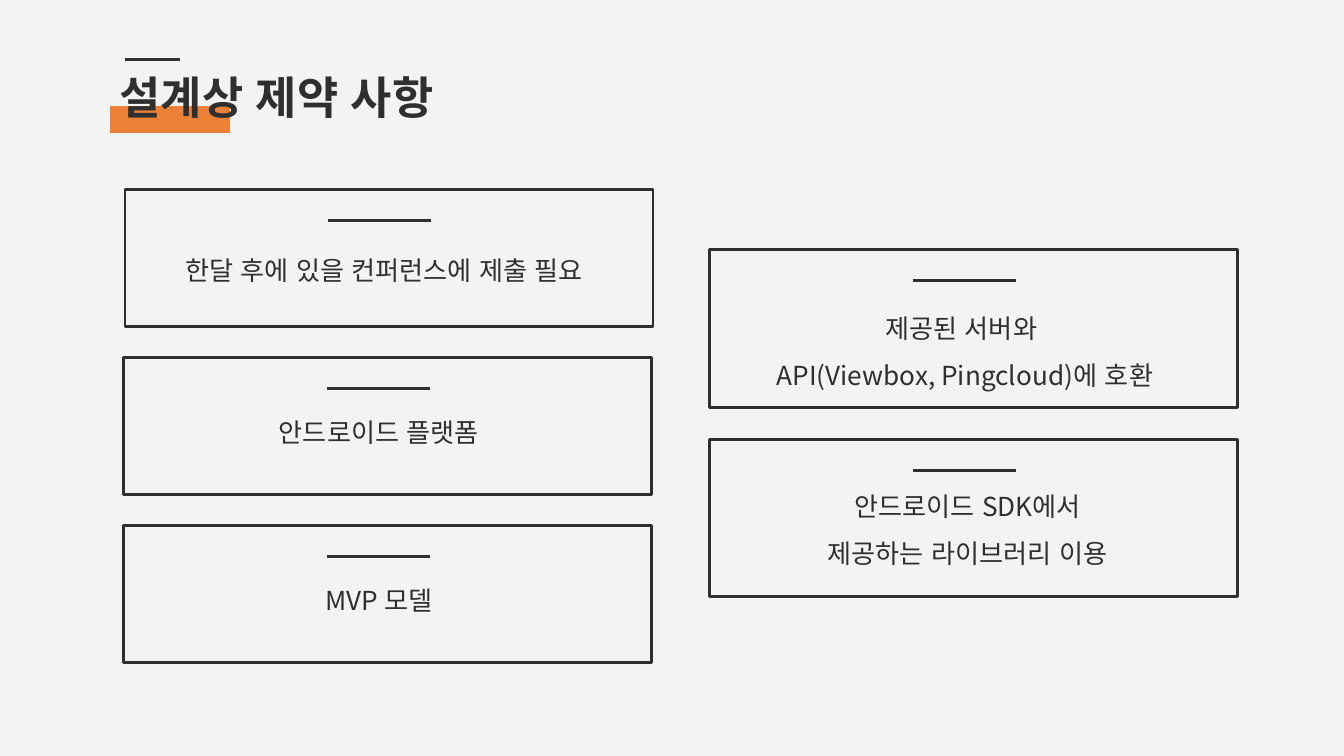
from dataclasses import dataclass

from lxml import etree
from pptx import Presentation
from pptx import util as u
from pptx.dml.color import RGBColor
from pptx.enum import lang, shapes, text
from pptx.oxml.ns import qn

FONT = "Noto Sans CJK KR"
INK, ORANGE, PAPER = "2F2F2F", "EC8037", "F3F3F3"
CARD_WIDTH = 3.93
TEXT_WIDTH, TEXT_HEIGHT = 3.48, 0.63
RULE_INSET, RULE_DROP, RULE_WIDTH = 1.51, 0.23, 0.77


@dataclass
class Card:
    left: float
    top: float
    height: float
    text_left: float
    text_top: float
    lines: list[str]
    spacing: float = 1.0


LEAD_CARD = Card(0.93, 1.41, 1.02, 1.12, 1.79,
                 ["한달 후에 있을 컨퍼런스에 제출 필요"])
CARDS = [
    Card(0.92, 2.66, 1.02, 1.08, 3.0, ["안드로이드 플랫폼"]),
    Card(0.92, 3.91, 1.02, 1.08, 4.25, ["MVP 모델"]),
    Card(5.28, 1.86, 1.17, 5.44, 2.11,
         ["제공된 서버와 ", "API(Viewbox, Pingcloud)에 호환"], 1.5),
    Card(5.28, 3.27, 1.17, 5.46, 3.43,
         ["안드로이드 SDK에서", "제공하는 라이브러리 이용"], 1.5),
]


def color(value: str) -> RGBColor:
    return RGBColor.from_string(value)


def place(box, left: float, top: float, width: float, height: float) -> None:
    spots = {"left": left, "top": top, "width": width, "height": height}
    for name, value in spots.items():
        setattr(box, name, u.Inches(value))


def add_rectangle(slide, left: float, top: float, width: float, height: float,
                  fill: str | None = None):
    """Draw a filled block, or an outlined frame when no fill is given."""
    box = slide.shapes.add_shape(
        shapes.MSO_SHAPE.RECTANGLE, u.Inches(left), u.Inches(top),
        u.Inches(width), u.Inches(height))
    box.shadow.inherit = False
    if fill:
        box.fill.solid()
        box.fill.fore_color.rgb = color(fill)
        box.line.fill.background()
    else:
        box.fill.background()
        box.line.color.rgb = color(INK)
        box.line.width = u.Pt(1.5)
    return box


def add_rule(slide, left: float, top: float, width: float) -> None:
    rule = slide.shapes.add_connector(
        shapes.MSO_CONNECTOR.STRAIGHT, u.Inches(left), u.Inches(top),
        u.Inches(left + width), u.Inches(top))
    rule.line.color.rgb = color(INK)
    rule.line.width = u.Pt(1.5)
    etree.SubElement(rule._element.spPr, qn("a:effectLst"))


def write(box, lines: list[str], size: float, align: text.PP_ALIGN,
          bold: bool = False, spacing: float = 1.0) -> None:
    frame = box.text_frame
    frame_format = {
        "word_wrap": True, "auto_size": text.MSO_AUTO_SIZE.NONE,
        "vertical_anchor": text.MSO_ANCHOR.TOP,
        **{f"margin_{side}": u.Inches(0.1)
           for side in ("left", "right", "top", "bottom")}}
    para_format = {"alignment": align, "line_spacing": spacing,
                   "space_before": u.Pt(0)}
    font_format = {"name": FONT, "size": u.Pt(size), "bold": bold,
                   "language_id": lang.MSO_LANGUAGE_ID.KOREAN}
    for name, value in frame_format.items():
        setattr(frame, name, value)
    for index, line in enumerate(lines):
        para = frame.paragraphs[0] if index == 0 else frame.add_paragraph()
        for name, value in para_format.items():
            setattr(para, name, value)
        span = para.add_run()
        span.text = line
        for name, value in font_format.items():
            setattr(span.font, name, value)
        span.font.color.rgb = color(INK)
        east_asian = etree.SubElement(span.font._element, qn("a:ea"))
        east_asian.set("typeface", FONT)


def add_title(slide) -> None:
    title = slide.shapes.title
    place(title, 0.79, 0.42, 2.71, 0.8)
    write(title, ["설계상 제약 사항"], 24, text.PP_ALIGN.LEFT, bold=True)
    highlight = add_rectangle(slide, 0.82, 0.79, 0.89, 0.2, ORANGE)
    title._element.addprevious(highlight._element)
    add_rule(slide, 0.93, 0.44, 0.41)


def add_card(slide, card: Card, box=None) -> None:
    """Draw a card, with its text in the given placeholder or a new box."""
    frame = add_rectangle(slide, card.left, card.top, CARD_WIDTH, card.height)
    box = box or slide.shapes.add_textbox(0, 0, 0, 0)
    frame._element.addnext(box._element)
    place(box, card.text_left, card.text_top, TEXT_WIDTH, TEXT_HEIGHT)
    write(box, card.lines, 14, text.PP_ALIGN.CENTER, spacing=card.spacing)
    add_rule(slide, card.left + RULE_INSET, card.top + RULE_DROP, RULE_WIDTH)


def main() -> None:
    deck = Presentation()
    deck.slide_width = u.Inches(10)
    deck.slide_height = deck.slide_width * 9 // 16
    page = deck.slides.add_slide(deck.slide_layouts[0])
    page.background.fill.solid()
    page.background.fill.fore_color.rgb = color(PAPER)
    add_title(page)
    add_card(page, LEAD_CARD, page.placeholders[1])
    for card in CARDS:
        add_card(page, card)
    deck.save("out.pptx")


if __name__ == "__main__":
    main()
